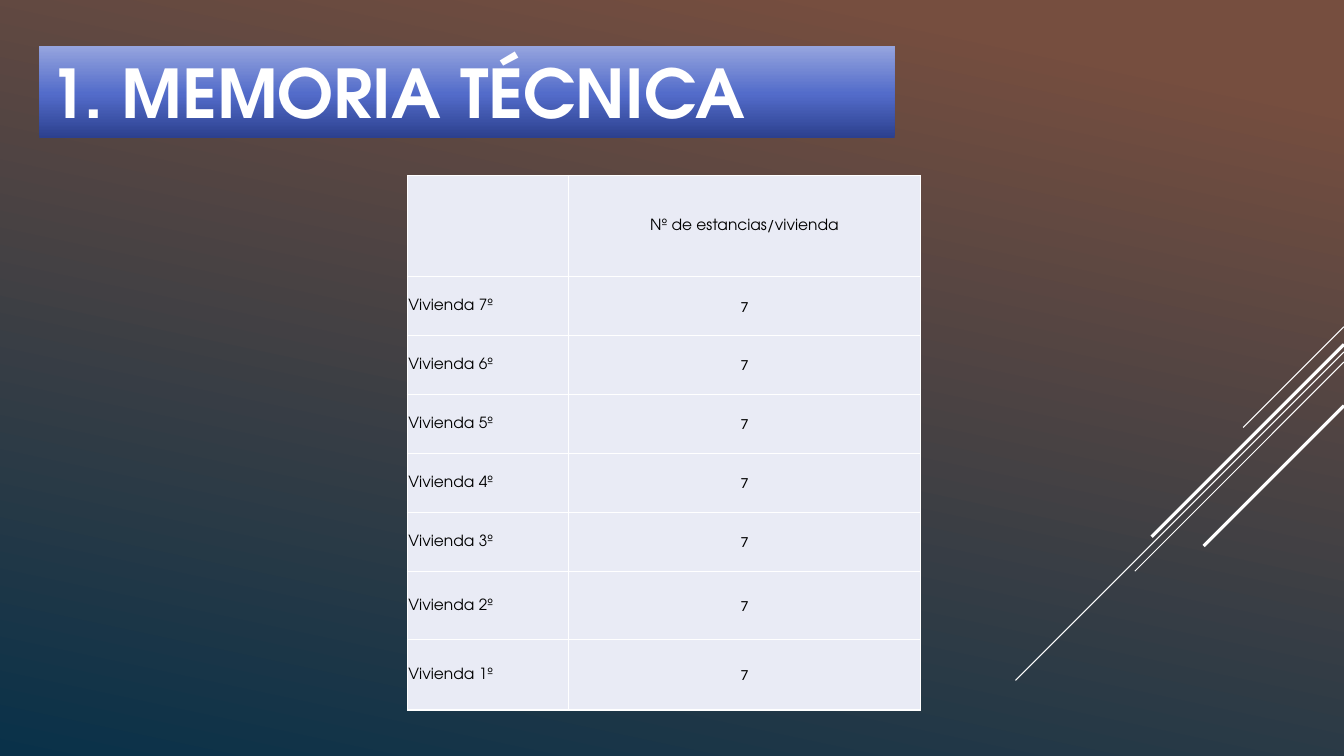
from copy import deepcopy

from lxml.etree import SubElement
from pptx import Presentation
from pptx.dml.color import RGBColor
from pptx.enum.shapes import MSO_CONNECTOR, MSO_SHAPE
from pptx.enum.text import MSO_ANCHOR, MSO_AUTO_SIZE, PP_ALIGN
from pptx.oxml import parse_xml
from pptx.oxml.ns import nsdecls, qn
from pptx.util import Inches, Pt

COLS, ROWS = 160, 90
COLORS = {
    "white": "FFFFFF", "black": "000000", "cell": "E9EBF5",
    "rust": "764E3F", "navy": "093149",
    "indigo": "2C408E", "blue": "536CCA", "sky": "95A4DE",
}
HEADING, NUMBER = "TeX Gyre Adventor", "Calibri"


def rgb(name):
    return RGBColor.from_string(COLORS[name])


def write(tf, text, font=HEADING, size=11, color="black", bold=False, align=PP_ALIGN.LEFT):
    p = tf.paragraphs[0]
    p.alignment = align
    r = p.add_run()
    r.text = text
    r.font.name = font
    r.font.size = Pt(size)
    r.font.bold = bold
    r.font.color.rgb = rgb(color)


class Deck:
    def __init__(self):
        self.prs = Presentation()
        self.prs.slide_width, self.prs.slide_height = Inches(13.333), Inches(7.5)
        self.s = self.prs.slides.add_slide(self.prs.slide_layouts[6])

    def x(self, cols):
        return round(self.prs.slide_width * cols / COLS)

    def y(self, rows):
        return round(self.prs.slide_height * rows / ROWS)

    def gradient(self, fill, element, stops, angle):
        fill.gradient()
        fill.gradient_angle = angle
        gs_list = element.find(".//" + qn("a:gsLst"))
        for _ in stops[2:]:
            gs_list.append(deepcopy(gs_list[0]))
        for stop, (position, color) in zip(fill.gradient_stops, stops):
            stop.position = position
            stop.color.rgb = rgb(color)

    def background(self, stops, angle):
        self.gradient(self.s.background.fill, self.s._element, stops, angle)

    def diagonal(self, top, reach, width):
        line = self.s.shapes.add_connector(
            MSO_CONNECTOR.STRAIGHT, self.x(COLS), self.y(top),
            self.x(COLS - reach), self.y(top + reach))
        line.line.color.rgb = rgb("white")
        line.line.width = Pt(width)
        SubElement(line._element.spPr, qn("a:effectLst"))

    def banner(self, text, left, top, width, height, stops, angle):
        sp = self.s.shapes.add_shape(
            MSO_SHAPE.RECTANGLE, self.x(left), self.y(top), self.x(width), self.y(height))
        sp.shadow.inherit = False
        sp.line.fill.background()
        self.gradient(sp.fill, sp._element, stops, angle)
        tf = sp.text_frame
        tf.word_wrap = True
        tf.auto_size = MSO_AUTO_SIZE.SHAPE_TO_FIT_TEXT
        tf.vertical_anchor = MSO_ANCHOR.MIDDLE
        write(tf, text, size=48, color="white", bold=True)

    def cell(self, cell, text, **style):
        cell.fill.solid()
        cell.fill.fore_color.rgb = rgb("cell")
        cell.vertical_anchor = MSO_ANCHOR.MIDDLE
        cell.margin_left = cell.margin_right = cell.margin_top = Inches(0.01)
        cell.margin_bottom = 0
        tcPr = cell._tc.get_or_add_tcPr()
        for i, side in enumerate("LRTB"):
            tcPr.insert(i, parse_xml(
                f'<a:ln{side} {nsdecls("a")} w="12700"><a:solidFill>'
                f'<a:srgbClr val="{COLORS["white"]}"/></a:solidFill></a:ln{side}>'))
        if text:
            write(cell.text_frame, text, **style)

    def table(self, data, left, top, widths, heights):
        table = self.s.shapes.add_table(
            len(heights), len(widths), self.x(left), self.y(top),
            self.x(sum(widths)), self.y(sum(heights))).table
        table.first_row = table.horz_banding = False
        for column, width in zip(table.columns, widths):
            column.width = self.x(width)
        for row, height, (label, value) in zip(table.rows, heights, data):
            row.height = self.y(height)
            font = NUMBER if value.isdigit() else HEADING
            self.cell(row.cells[0], label)
            self.cell(row.cells[1], value, font=font, align=PP_ALIGN.CENTER)


def main():
    deck = Deck()
    deck.background([(0.1, "rust"), (1, "navy")], angle=258)
    for top, reach, width in [(38.9, 12, 0.75), (41.9, 39.1, 0.75), (43.1, 24.9, 0.75),
                              (41, 22.9, 2.25), (48.3, 16.7, 2.25)]:
        deck.diagonal(top, reach, width)
    deck.banner("1. MEMORIA TÉCNICA", 4.7, 5.5, 101.8, 10.9,
                [(0, "indigo"), (0.48, "blue"), (1, "sky")], angle=90)
    homes = [(f"Vivienda {floor}º", "7") for floor in range(7, 0, -1)]
    deck.table([("", "Nº de estancias/vivienda")] + homes, 48.5, 20.9,
               widths=[19.2, 41.9], heights=[12.05] + [7.02] * 5 + [8.1, 8.4])
    deck.prs.save("out.pptx")


if __name__ == "__main__":
    main()
